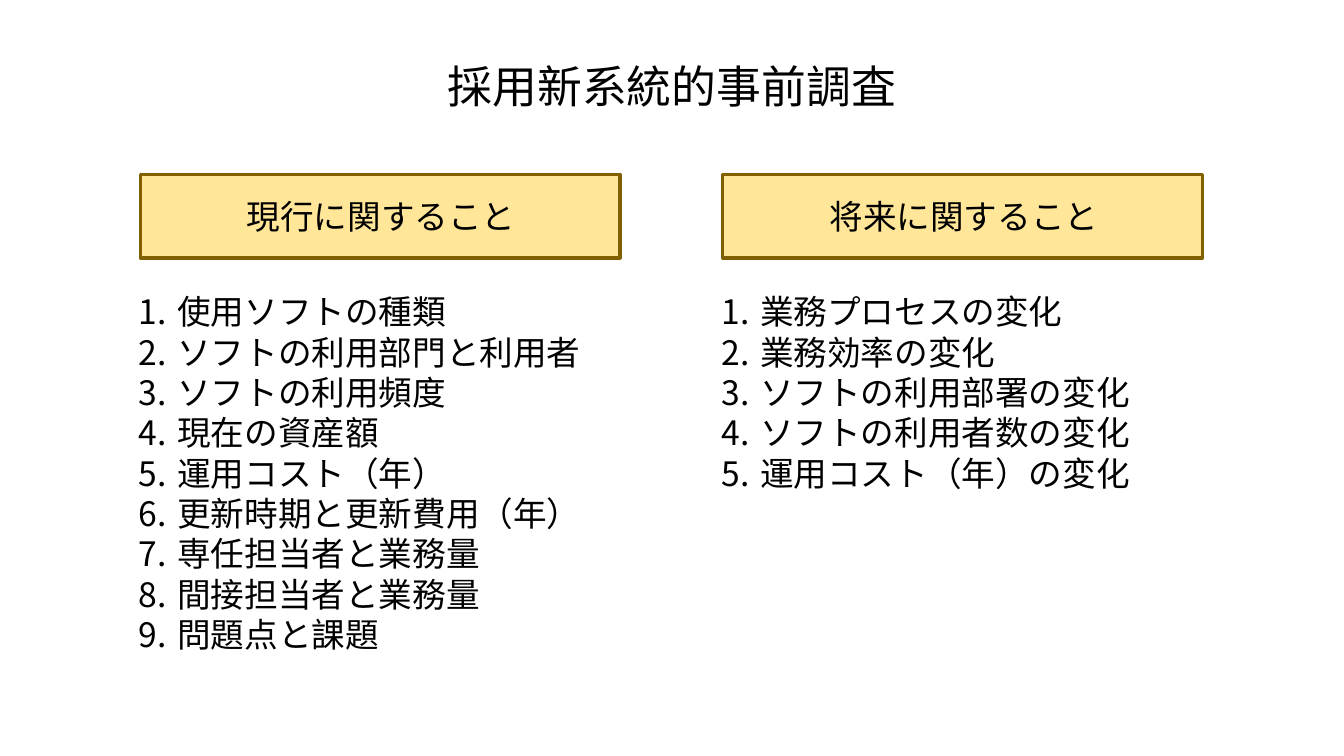
from lxml.etree import SubElement
from pptx import Presentation
from pptx.dml.color import RGBColor
from pptx.enum.shapes import MSO_SHAPE
from pptx.enum.text import MSO_ANCHOR, PP_ALIGN
from pptx.oxml.ns import qn
from pptx.util import Inches, Pt


def color(value):
    return RGBColor.from_string(value)


class SurveySlide:
    """Style of the survey slide and the slide being built."""

    INK, PANEL, BORDER = "000000", "FFE699", "806000"
    LATIN, JAPANESE = "Arial", "Noto Sans CJK JP"
    INDENT = Inches(0.38)

    def __init__(self, slide):
        self.slide = slide

    def style(self, paragraph, size, font, **formats):
        for name, value in formats.items():
            setattr(paragraph, name, value)
        run = paragraph.runs[0]
        for name, value in {"size": Pt(size), "name": font}.items():
            setattr(run.font, name, value)
        run.font.color.rgb = color(self.INK)
        SubElement(run.font._element, qn("a:ea"), typeface=self.JAPANESE)

    def frame(self, left, top, width, height, anchor):
        box = self.slide.shapes.add_textbox(
            Inches(left), Inches(top), Inches(width), Inches(height))
        frame = box.text_frame
        for name, value in {"word_wrap": True, "vertical_anchor": anchor}.items():
            setattr(frame, name, value)
        return frame

    def label(self, text, left, top, width, height, size, font):
        frame = self.frame(left, top, width, height, MSO_ANCHOR.MIDDLE)
        frame.text = text
        self.style(frame.paragraphs[0], size, font, alignment=PP_ALIGN.CENTER)

    def panel(self, kind, left, top, width, height):
        panel = self.slide.shapes.add_shape(
            kind, Inches(left), Inches(top), Inches(width), Inches(height))
        panel.shadow.inherit = False
        panel.fill.solid()
        panel.fill.fore_color.rgb = color(self.PANEL)
        panel.line.color.rgb = color(self.BORDER)
        panel.line.width = Pt(2.25)

    def numbered_list(self, items, left, top, width, height):
        frame = self.frame(left, top, width, height, MSO_ANCHOR.TOP)
        frame.text = "\n".join(items)
        for paragraph in frame.paragraphs:
            properties = paragraph._p.get_or_add_pPr()
            properties.set("marL", str(self.INDENT))
            properties.set("indent", str(-self.INDENT))
            SubElement(properties, qn("a:buFont"), typeface=self.JAPANESE)
            SubElement(properties, qn("a:buAutoNum"), type="arabicPeriod")
            self.style(paragraph, 24, self.LATIN,
                       alignment=PP_ALIGN.JUSTIFY, line_spacing=Pt(28.8))


COLUMNS = [
    ("現行に関すること", MSO_SHAPE.FLOWCHART_PROCESS, 4.14, [
        "使用ソフトの種類", "ソフトの利用部門と利用者", "ソフトの利用頻度",
        "現在の資産額", "運用コスト（年）", "更新時期と更新費用（年）",
        "専任担当者と業務量", "間接担当者と業務量", "問題点と課題"]),
    ("将来に関すること", MSO_SHAPE.RECTANGLE, 2.12, [
        "業務プロセスの変化", "業務効率の変化", "ソフトの利用部署の変化",
        "ソフトの利用者数の変化", "運用コスト（年）の変化"]),
]
FIRST_LEFT, COLUMN_STEP = 1.39, 5.78


def main():
    deck = Presentation()
    deck.slide_width, deck.slide_height = Inches(13.33), Inches(7.5)
    survey = SurveySlide(deck.slides.add_slide(deck.slide_layouts[6]))

    # Title
    survey.label("採用新系統的事前調査", 3.16, 0.53, 7.01, 0.64, 32, survey.JAPANESE)

    # Current and future columns
    for index, (heading, kind, list_height, items) in enumerate(COLUMNS):
        left = FIRST_LEFT + index * COLUMN_STEP
        survey.panel(kind, left, 1.73, 4.76, 0.83)
        survey.label(heading, left + 0.3, 1.89, 4.18, 0.5, 24, survey.LATIN)
        survey.numbered_list(items, left - 0.11, 2.84, 4.99, list_height)

    deck.save("out.pptx")


if __name__ == "__main__":
    main()
